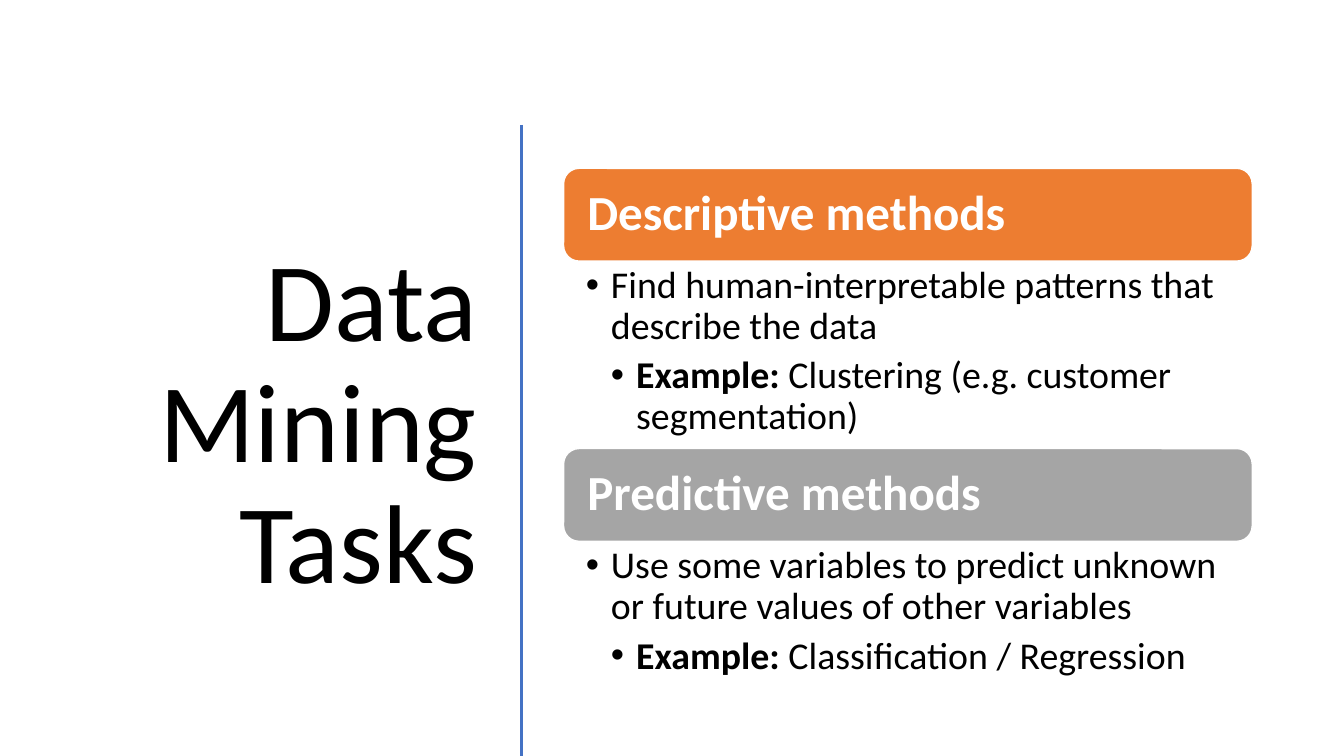
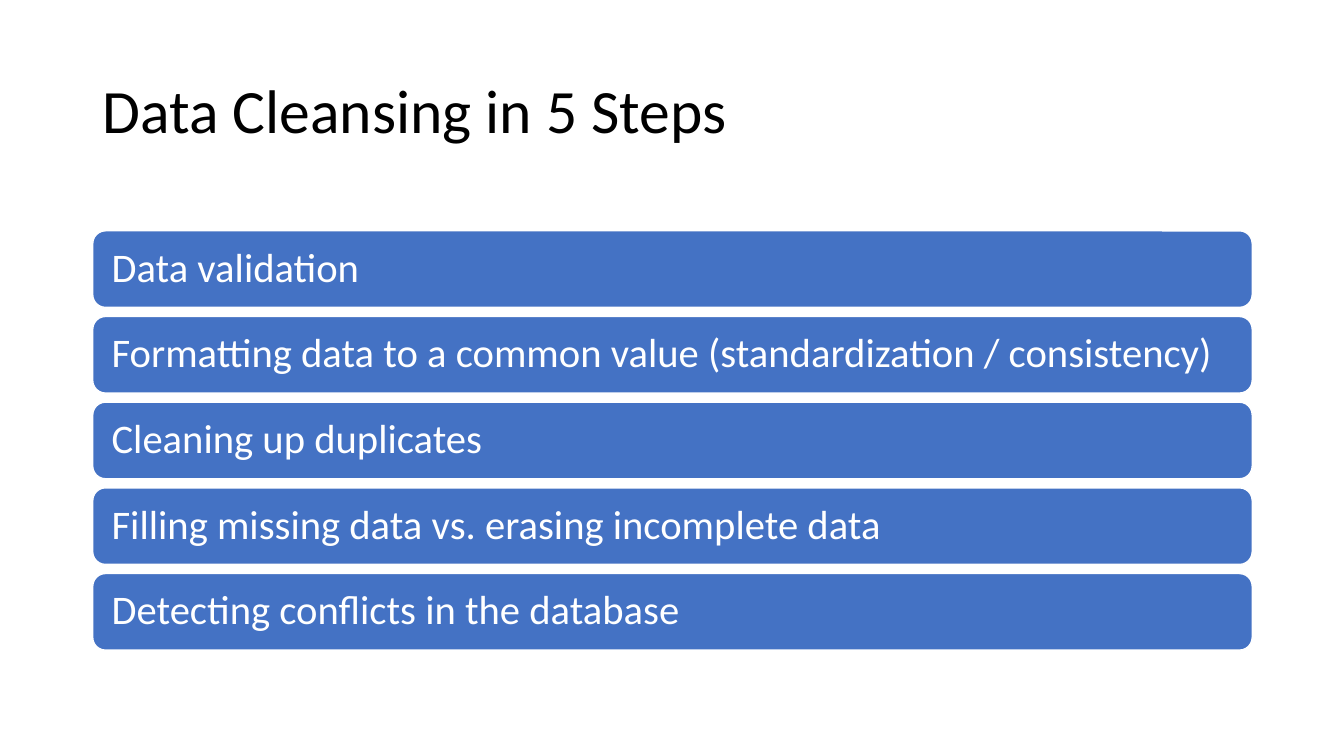
from dataclasses import dataclass

from lxml.etree import SubElement
from pptx import Presentation
from pptx.dml.color import RGBColor
from pptx.enum.shapes import MSO_CONNECTOR, MSO_SHAPE
from pptx.enum.text import MSO_ANCHOR as Anchor, PP_ALIGN as Align
from pptx.oxml.ns import qn
from pptx.util import Inches, Pt


@dataclass(frozen=True)
class Theme:
    font: str = "Calibri"
    black: RGBColor = RGBColor(0x00, 0x00, 0x00)
    white: RGBColor = RGBColor(0xFF, 0xFF, 0xFF)
    blue: RGBColor = RGBColor(0x44, 0x72, 0xC4)
    orange: RGBColor = RGBColor(0xED, 0x7D, 0x31)
    gray: RGBColor = RGBColor(0xA5, 0xA5, 0xA5)
    large_title: int = 80
    title: int = 44
    heading: int = 35
    step: int = 29
    bullet: int = 27


theme = Theme()


def write_text(shape, paragraphs, *, size, color=theme.black, bold=False,
               align=Align.LEFT, anchor=Anchor.MIDDLE,
               insets=(0.1, 0.05, 0.1, 0.05), bulleted=False):
    """Fill a shape; each paragraph is a string or a list of (text, bold) runs."""
    frame = shape.text_frame
    frame.word_wrap = True
    frame.vertical_anchor = anchor
    (frame.margin_left, frame.margin_top,
     frame.margin_right, frame.margin_bottom) = map(Inches, insets)
    for index, content in enumerate(paragraphs):
        paragraph = frame.add_paragraph() if index else frame.paragraphs[0]
        paragraph.alignment = align
        paragraph.line_spacing = 0.9
        if bulleted:
            paragraph.level = index + 1
            paragraph.space_after = Pt(6)
            properties = paragraph._p.get_or_add_pPr()
            properties.set("marL", str(Inches(0.25 * (index + 1))))
            properties.set("indent", str(Inches(-0.25)))
            SubElement(properties, qn("a:buFont"), typeface="Arial")
            SubElement(properties, qn("a:buChar"), char="•")
        runs = [(content, bold)] if isinstance(content, str) else content
        for text, run_bold in runs:
            run = paragraph.add_run()
            run.text = text
            run.font.name = theme.font
            run.font.size = Pt(size)
            run.font.color.rgb = color
            run.font.bold = run_bold


def add_bar(slide, left, top, width, height, fill, text, **text_format):
    bar = slide.shapes.add_shape(MSO_SHAPE.ROUNDED_RECTANGLE, Inches(left),
                                 Inches(top), Inches(width), Inches(height))
    bar.shadow.inherit = False
    bar.fill.solid()
    bar.fill.fore_color.rgb = fill
    bar.line.color.rgb = theme.white
    bar.line.width = Pt(1)
    write_text(bar, [text], color=theme.white, **text_format)


presentation = Presentation()
presentation.slide_width = Inches(13.33)
presentation.slide_height = Inches(7.5)
blank_layout = presentation.slide_layouts[6]

# Data mining tasks
slide = presentation.slides.add_slide(blank_layout)
title = slide.shapes.add_textbox(Inches(0.52), Inches(1.17), Inches(4.31), Inches(6.11))
write_text(title, ["Data Mining Tasks"], size=theme.large_title, align=Align.RIGHT)

divider = slide.shapes.add_connector(MSO_CONNECTOR.STRAIGHT, Inches(5.17),
                                     Inches(1.24), Inches(5.17), Inches(7.5))
divider.line.color.rgb = theme.blue
divider.line.width = Pt(2)
SubElement(divider._element.spPr, qn("a:effectLst"))

methods = [
    ("Descriptive methods", theme.orange, 1.86,
     "Find human-interpretable patterns that describe the data",
     "Clustering (e.g. customer segmentation)"),
    ("Predictive methods", theme.gray, 1.43,
     "Use some variables to predict unknown or future values of other variables",
     "Classification / Regression"),
]
method_left, method_width, heading_height = 5.59, 6.83, 0.92
top = 1.67
for heading, fill, body_height, purpose, example in methods:
    add_bar(slide, method_left, top, method_width, heading_height, fill, heading,
            size=theme.heading, bold=True, insets=(0.19, 0.1, 0.19, 0.1))
    top += heading_height
    body = slide.shapes.add_textbox(Inches(method_left), Inches(top),
                                    Inches(method_width), Inches(body_height))
    write_text(body, [purpose, [("Example:", True), (f" {example}", False)]],
               size=theme.bullet, anchor=Anchor.TOP, bulleted=True,
               insets=(0.22, 0.05, 0.27, 0.05))
    top += body_height

# Data cleansing steps
slide = presentation.slides.add_slide(blank_layout)
title = slide.shapes.add_textbox(Inches(0.92), Inches(0.4), Inches(11.5), Inches(1.45))
write_text(title, ["Data Cleansing in 5 Steps"], size=theme.title)

steps = [
    "Data validation",
    "Formatting data to a common value (standardization / consistency)",
    "Cleaning up duplicates",
    "Filling missing data vs. erasing incomplete data",
    "Detecting conflicts in the database",
]
step_top, step_height, step_gap = 2.29, 0.76, 0.09
for index, step in enumerate(steps):
    add_bar(slide, 0.92, step_top + index * (step_height + step_gap), 11.5,
            step_height, theme.blue, step, size=theme.step,
            insets=(0.15, 0.1, 0.15, 0.1))

presentation.save("out.pptx")
